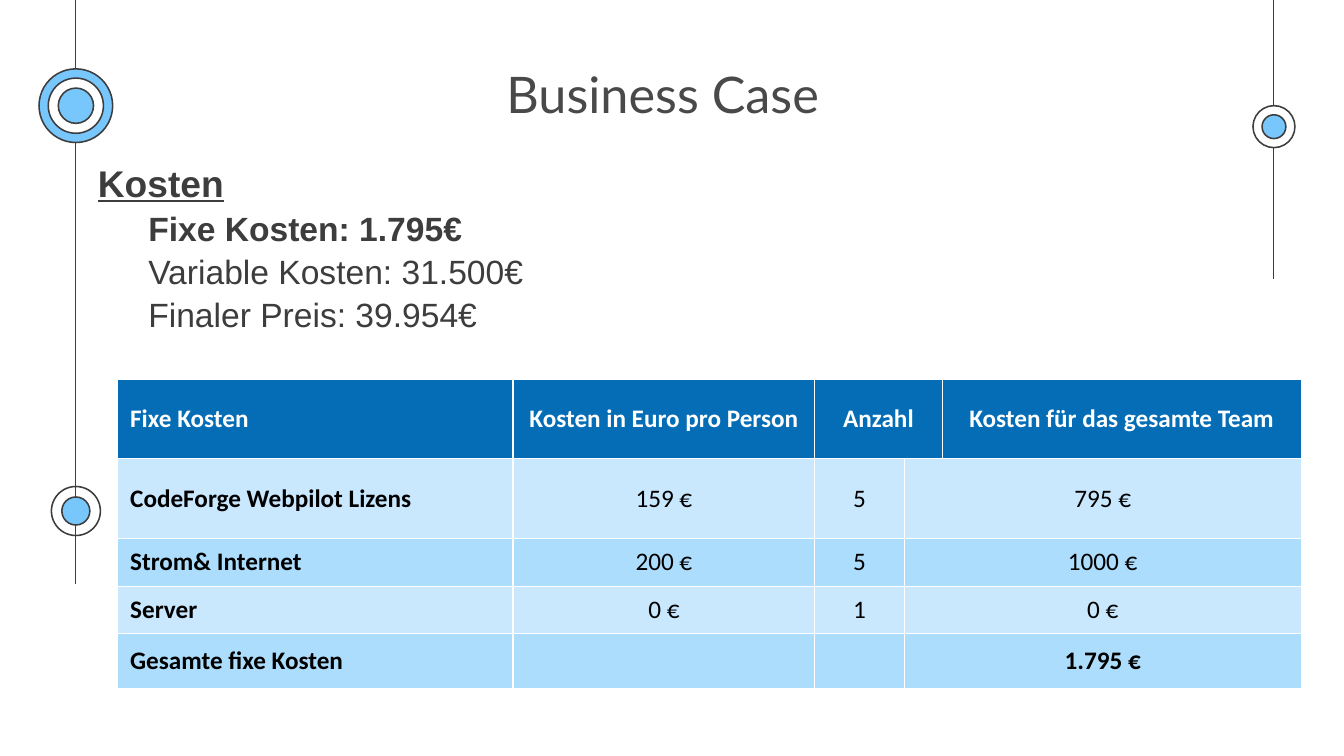
from lxml import etree
from pptx import Presentation
from pptx import util as u
from pptx.dml.color import RGBColor
from pptx.enum import shapes, text
from pptx.oxml.ns import qn

HUES = {
    "ink": "3D3D3D", "title": "494949", "sky": "77C6FC", "white": "FFFFFF",
    "black": "000000", "head": "046DB5", "pale": "C9E8FE", "mid": "ADDDFD",
}
LEFT, MID = text.PP_ALIGN.LEFT, text.PP_ALIGN.CENTER
COLS = [283, 215.5, 64, 27, 256.5]
ROWS = [57, 57, 34, 34, 39]
COSTS = [
    ["Fixe Kosten", "Kosten in Euro pro Person", "Anzahl",
     "Kosten für das gesamte Team"],
    ["CodeForge Webpilot Lizens", "159 €", "5", "795 €"],
    ["Strom& Internet", "200 €", "5", "1000 €"],
    ["Server", "0 €", "1", "0 €"],
    ["Gesamte fixe Kosten", "", "", "1.795 €"],
]


def hue(name):
    return RGBColor.from_string(HUES[name])


def write(para, words, font="Arial", size=24, color="ink", bold=False,
          under=False, align=LEFT):
    para.alignment = align
    run = para.add_run()
    run.text = words
    face = run.font
    face.name, face.size = font, u.Pt(size)
    face.bold, face.underline = bold, under
    face.color.rgb = hue(color)


def inset(item, side, top):
    item.margin_left = item.margin_right = u.Pt(side)
    item.margin_top = item.margin_bottom = u.Pt(top)


def thread(slide, x, end):
    """Draw a vertical line from the slide's top edge down to end."""
    line = slide.shapes.add_connector(
        shapes.MSO_CONNECTOR.STRAIGHT, u.Pt(x), 0, u.Pt(x), u.Pt(end))
    line.line.color.rgb = hue("ink")
    line.line.width = u.Pt(0.75)
    etree.SubElement(line._element.spPr, qn("a:effectLst"))


def bead(slide, x, y, rings):
    """Draw concentric circles, given as (diameter, fill), around x, y."""
    for size, fill in rings:
        disc = slide.shapes.add_shape(
            shapes.MSO_SHAPE.OVAL, u.Pt(x - size / 2), u.Pt(y - size / 2),
            u.Pt(size), u.Pt(size))
        disc.shadow.inherit = False
        if fill:
            disc.fill.solid()
            disc.fill.fore_color.rgb = hue(fill)
        else:
            disc.fill.background()
        disc.line.color.rgb = hue("ink")
        disc.line.width = u.Pt(1.1)


def decor(slide, left, right):
    thread(slide, left, 417.5)
    thread(slide, right, 199.5)
    bead(slide, left, 365, [(35, None), (20, "sky")])
    bead(slide, right, 90.5, [(30, "white"), (17, "sky")])
    bead(slide, left, 75.5, [(52.6, "sky"), (39.4, "white"), (25.2, "sky")])


def title(slide, x, y, wide, high):
    box = slide.shapes.title
    box.left, box.top = u.Pt(x), u.Pt(y)
    box.width, box.height = u.Pt(wide), u.Pt(high)
    frame = box.text_frame
    inset(frame, 9.5, 9.5)
    frame.vertical_anchor = text.MSO_ANCHOR.MIDDLE
    write(frame.paragraphs[0], "Business Case", font="Lato", size=36,
          color="title", align=MID)


def prices(slide, x, y, wide, high):
    box = slide.shapes.add_textbox(u.Pt(x), u.Pt(y), u.Pt(wide), u.Pt(high))
    frame = box.text_frame
    frame.word_wrap = True
    inset(frame, 9.5, 5)
    head = frame.paragraphs[0]
    head.line_spacing, head.space_before = 0.9, u.Pt(10)
    write(head, "Kosten", size=26.5, bold=True, under=True)
    items = ["Fixe Kosten: 1.795€", "Variable Kosten: 31.500€",
             "Finaler Preis: 39.954€"]
    for i, words in enumerate(items):
        para = frame.add_paragraph()
        para.level = 1
        para.line_spacing, para.space_before = 0.9, u.Pt(5)
        props = para._p.get_or_add_pPr()
        props.set("marL", str(u.Pt(36)))
        props.set("indent", "0")
        write(para, words, bold=i == 0)


def costs(slide, x, y):
    grid = slide.shapes.add_table(
        len(ROWS), len(COLS), u.Pt(x), u.Pt(y),
        u.Pt(sum(COLS)), u.Pt(sum(ROWS))).table
    for col, wide in zip(grid.columns, COLS):
        col.width = u.Pt(wide)
    last = len(ROWS) - 1
    for r, high in enumerate(ROWS):
        grid.rows[r].height = u.Pt(high)
        fill = "head" if r == 0 else "pale" if r % 2 else "mid"
        for c in range(len(COLS)):
            cell = grid.cell(r, c)
            cell.fill.solid()
            cell.fill.fore_color.rgb = hue(fill)
            cell.vertical_anchor = text.MSO_ANCHOR.MIDDLE
            inset(cell, 9.5, 5)
        # The header joins the narrow column to "Anzahl", the body to the total
        start = 2 if r == 0 else 3
        grid.cell(r, start).merge(grid.cell(r, start + 1))
        spots = [0, 1, 2, 4 if r == 0 else 3]
        for c, words in zip(spots, COSTS[r]):
            if words:
                write(grid.cell(r, c).text_frame.paragraphs[0], words,
                      font="Calibri", size=18,
                      color="black" if r else "white",
                      bold=c == 0 or r in (0, last),
                      align=MID if c else LEFT)


def main():
    deck = Presentation()
    deck.slide_width, deck.slide_height = u.Pt(960), u.Pt(540)
    slide = deck.slides.add_slide(deck.slide_layouts[5])
    decor(slide, 54.2, 910)
    title(slide, 180.7, 35.3, 585.4, 62.6)
    prices(slide, 60.5, 113, 391.7, 167)
    costs(slide, 83.5, 270.7)
    deck.save("out.pptx")


if __name__ == "__main__":
    main()
